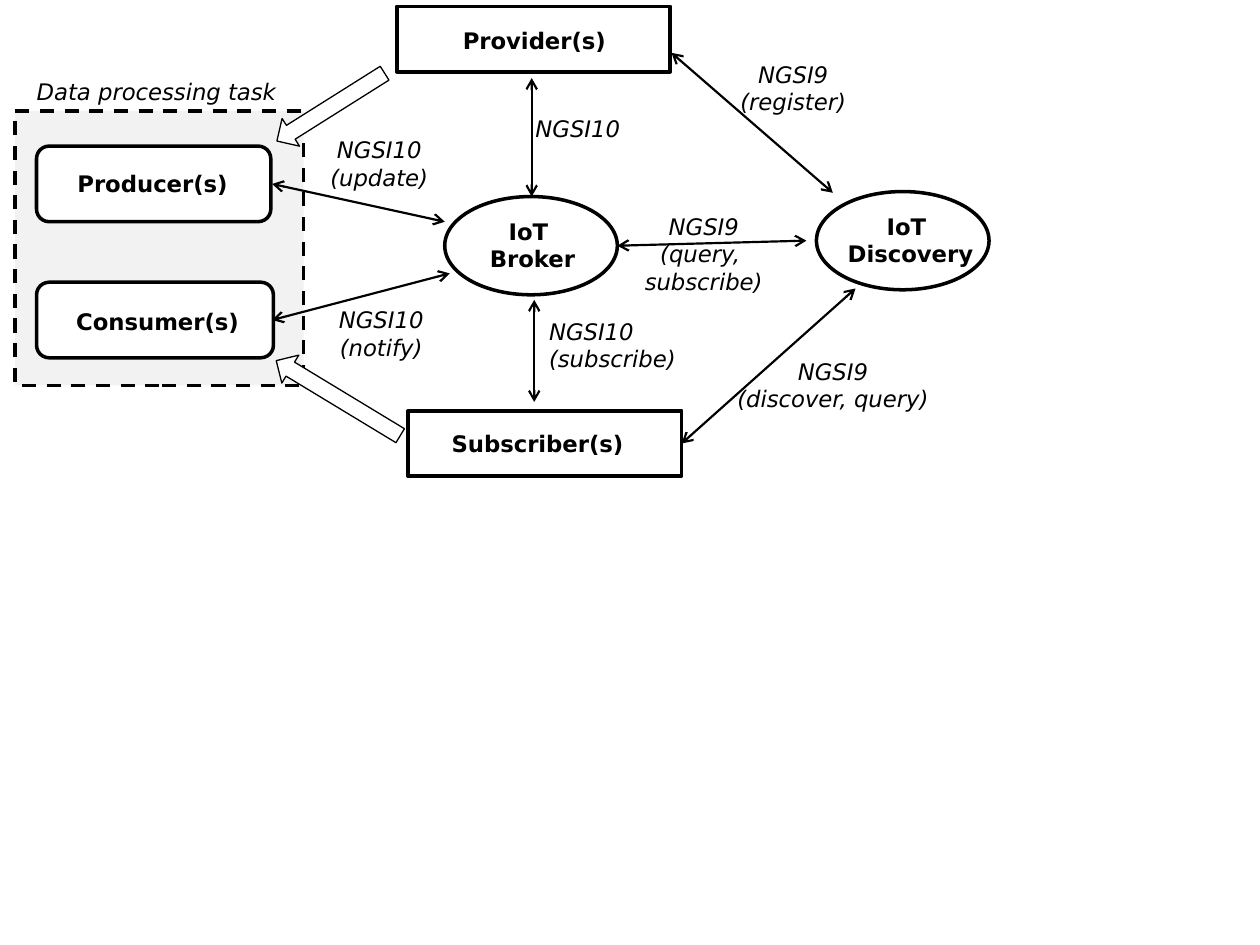
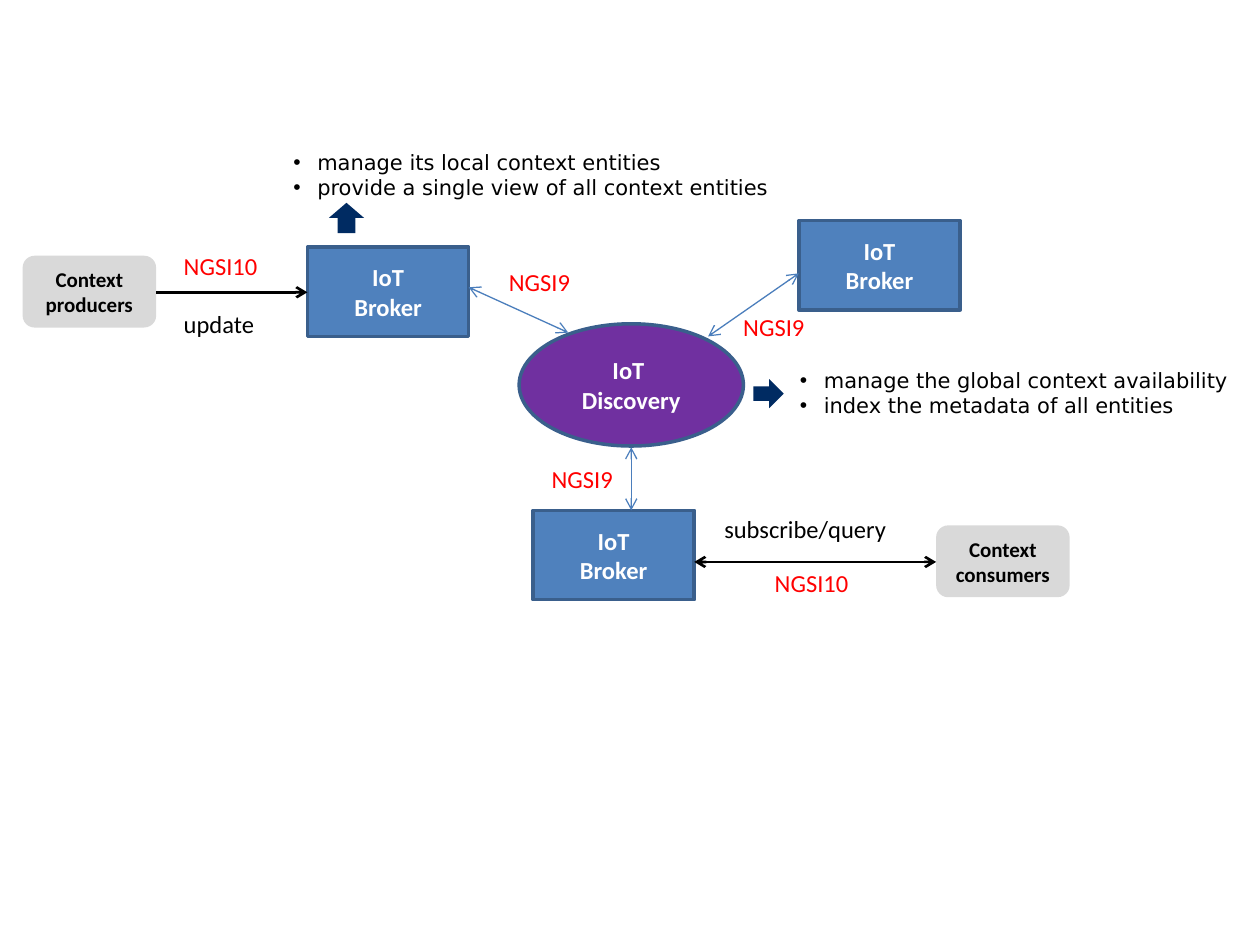
from dataclasses import dataclass
from typing import Optional

from lxml.etree import SubElement
from pptx import Presentation
from pptx.dml.color import RGBColor
from pptx.enum.dml import MSO_LINE
from pptx.enum.shapes import MSO_CONNECTOR, MSO_SHAPE
from pptx.enum.text import MSO_ANCHOR, MSO_AUTO_SIZE, PP_ALIGN
from pptx.oxml.ns import qn
from pptx.util import Inches, Pt

BLACK = RGBColor(0x00, 0x00, 0x00)
WHITE = RGBColor(0xFF, 0xFF, 0xFF)
PALE = RGBColor(0xF2, 0xF2, 0xF2)
GREY = RGBColor(0xD9, 0xD9, 0xD9)
RED = RGBColor(0xFF, 0x00, 0x00)
BLUE = RGBColor(0x4F, 0x81, 0xBD)
EDGE = RGBColor(0x3A, 0x5F, 0x8C)
WIRE = RGBColor(0x4B, 0x7E, 0xBC)
NAVY = RGBColor(0x00, 0x2B, 0x62)
PURPLE = RGBColor(0x70, 0x30, 0xA0)
SANS = "DejaVu Sans"
BODY = "Calibri"
LEFT, MID = PP_ALIGN.LEFT, PP_ALIGN.CENTER
RECT, ROUND = MSO_SHAPE.RECTANGLE, MSO_SHAPE.ROUNDED_RECTANGLE
OVAL, ARROW = MSO_SHAPE.OVAL, MSO_SHAPE.RIGHT_ARROW


@dataclass
class Node:
    kind: MSO_SHAPE
    x: float
    y: float
    w: float
    h: float
    fill: RGBColor = WHITE
    edge: Optional[RGBColor] = BLACK
    width: float = 2
    dash: bool = False
    turn: float = 0
    text: str = ""
    size: int = 14
    color: RGBColor = WHITE


@dataclass
class Label:
    text: str
    x: float
    y: float
    w: float
    align: PP_ALIGN = MID
    bold: bool = False
    color: RGBColor = BLACK
    wrap: bool = False


@dataclass
class Link:
    x1: float
    y1: float
    x2: float
    y2: float
    color: RGBColor = BLACK
    width: float = 1.25
    both: bool = True


def write(frame, text: str, *, font: str, size: int, color: RGBColor,
          bold: bool = False, italic: bool = False,
          align: PP_ALIGN = MID, bullet: bool = False) -> None:
    """Put each line of text in its own formatted paragraph."""
    for i, line in enumerate(text.split("\n")):
        para = frame.add_paragraph() if i else frame.paragraphs[0]
        para.alignment = align
        run = para.add_run()
        run.text = line
        run.font.name, run.font.size = font, Pt(size)
        run.font.bold, run.font.italic = bold, italic
        run.font.color.rgb = color
        if bullet:
            props = para._p.get_or_add_pPr()
            props.set("marL", str(Inches(0.19)))
            props.set("indent", str(-Inches(0.19)))
            SubElement(props, qn("a:buFont"), typeface="Arial")
            SubElement(props, qn("a:buChar"), char="•")


def draw_node(slide, node: Node) -> None:
    shape = slide.shapes.add_shape(
        node.kind, Inches(node.x), Inches(node.y), Inches(node.w), Inches(node.h))
    shape.shadow.inherit = False
    shape.rotation = node.turn
    shape.fill.solid()
    shape.fill.fore_color.rgb = node.fill
    if node.edge is None:
        shape.line.fill.background()
    else:
        shape.line.color.rgb = node.edge
        shape.line.width = Pt(node.width)
        if node.dash:
            shape.line.dash_style = MSO_LINE.DASH
    if node.text:
        shape.text_frame.word_wrap = True
        shape.text_frame.vertical_anchor = MSO_ANCHOR.MIDDLE
        write(shape.text_frame, node.text, font=BODY, size=node.size,
              color=node.color, bold=True)


def draw_label(slide, label: Label, font: str, size: int,
               italic: bool = False, bullet: bool = False) -> None:
    """Add a text box whose height follows from its number of lines."""
    lines = label.text.count("\n") + 1
    box = slide.shapes.add_textbox(
        Inches(label.x), Inches(label.y), Inches(label.w),
        Inches(0.1 + lines * size / 60))
    frame = box.text_frame
    frame.word_wrap = label.wrap
    frame.auto_size = MSO_AUTO_SIZE.SHAPE_TO_FIT_TEXT
    write(frame, label.text, font=font, size=size, color=label.color,
          bold=label.bold, italic=italic and not label.bold,
          align=label.align, bullet=bullet)


def draw_link(slide, link: Link) -> None:
    line = slide.shapes.add_connector(
        MSO_CONNECTOR.STRAIGHT, Inches(link.x1), Inches(link.y1),
        Inches(link.x2), Inches(link.y2))
    line.line.color.rgb = link.color
    line.line.width = Pt(link.width)
    props = line.line._get_or_add_ln()
    for end in ("a:headEnd", "a:tailEnd") if link.both else ("a:tailEnd",):
        SubElement(props, qn(end), type="arrow")
    SubElement(line._element.spPr, qn("a:effectLst"))


def broker(x: float, y: float) -> Node:
    return Node(RECT, x, y, 1.28, 0.71, BLUE, EDGE, text="IoT\nBroker")


def client(x: float, y: float, text: str) -> Node:
    return Node(ROUND, x, y, 1.06, 0.57, GREY, None, text=text, size=12, color=BLACK)


ROLE_NODES = [
    Node(OVAL, 6.48, 1.52, 1.37, 0.78),
    Node(RECT, 0.12, 0.88, 2.29, 2.18, PALE, dash=True),
    Node(OVAL, 3.53, 1.56, 1.37, 0.78),
    Node(ROUND, 0.29, 1.16, 1.86, 0.6),
    Node(RECT, 3.15, 0.05, 2.17, 0.52),
    Node(ROUND, 0.29, 2.24, 1.88, 0.6),
    Node(RECT, 3.24, 3.26, 2.17, 0.52),
    Node(ARROW, 2.12, 0.72, 1.01, 0.26, width=0.75, turn=147.8),
    Node(ARROW, 2.11, 3.03, 1.15, 0.26, width=0.75, turn=211.2),
]
ROLE_LINKS = [
    Link(4.22, 0.62, 4.22, 1.56),
    Link(4.24, 2.38, 4.24, 3.19),
    Link(5.33, 0.42, 6.61, 1.53),
    Link(6.79, 2.29, 5.41, 3.52),
    Link(6.4, 1.91, 4.9, 1.95),
    Link(2.16, 1.46, 3.53, 1.76),
    Link(3.57, 2.17, 2.16, 2.54),
]
ROLE_LABELS = [
    Label("IoT \nBroker", 3.78, 1.68, 0.89, bold=True),
    Label("IoT \nDiscovery", 6.62, 1.64, 1.21, bold=True),
    Label("Producer(s)", 0.49, 1.3, 1.44, bold=True),
    Label("Provider(s)", 3.55, 0.16, 1.38, bold=True),
    Label("Consumer(s)", 0.48, 2.39, 1.54, bold=True),
    Label("Subscriber(s)", 3.46, 3.36, 1.61, bold=True),
    Label("Data processing task", 0.18, 0.57, 2.12),
    Label("NGSI9\n(register)", 5.76, 0.43, 1.07),
    Label("NGSI9\n(discover, query)", 5.72, 2.79, 1.78),
    Label("NGSI10", 4.13, 0.86, 0.91),
    Label("NGSI10\n(subscribe)", 4.26, 2.47, 1.23, LEFT),
    Label("NGSI9\n(query, \nsubscribe)", 5.01, 1.64, 1.15),
    Label("NGSI10\n(update)", 2.51, 1.03, 1),
    Label("NGSI10\n(notify)", 2.57, 2.38, 0.91),
]

FLOW_NODES = [
    Node(OVAL, 4.12, 2.57, 1.78, 0.97, PURPLE, EDGE, text="IoT \nDiscovery"),
    broker(2.44, 1.96),
    broker(4.23, 4.05),
    broker(6.34, 1.75),
    client(0.18, 2.03, "Context\nproducers"),
    client(7.43, 4.17, "Context consumers"),
    Node(MSO_SHAPE.UP_ARROW, 2.61, 1.61, 0.28, 0.24, NAVY, None),
    Node(ARROW, 5.98, 3.01, 0.24, 0.23, NAVY, None),
]
FLOW_LINKS = [
    Link(1.24, 2.32, 2.44, 2.32, width=1.5, both=False),
    Link(3.72, 2.28, 4.51, 2.64, WIRE, 0.75),
    Link(5.01, 3.55, 5.01, 4.05, WIRE, 0.75),
    Link(5.51, 4.46, 7.43, 4.46, width=1.5),
    Link(5.62, 2.67, 6.34, 2.17, WIRE, 0.75),
]
FLOW_LABELS = [
    Label("update", 1.36, 2.4, 0.77, LEFT),
    Label("subscribe/query", 5.65, 4.03, 1.5, LEFT),
    *(Label("NGSI9", x, y, 0.69, LEFT, color=RED)
      for x, y in ((3.94, 2.07), (4.28, 3.63), (5.8, 2.43))),
    *(Label("NGSI10", x, y, 0.79, LEFT, color=RED)
      for x, y in ((6.05, 4.46), (1.36, 1.94))),
]
FLOW_NOTES = [
    Label("manage the global context availability\nindex the metadata of all entities",
          6.25, 2.87, 3.61, LEFT),
    Label("manage its local context entities\n"
          "provide a single view of all context entities",
          2.23, 1.14, 4.1, LEFT, wrap=True),
]


def add_slide(deck, nodes: list[Node], links: list[Link]):
    """Add a blank slide with its nodes and the links over them."""
    slide = deck.slides.add_slide(deck.slide_layouts[6])
    for node in nodes:
        draw_node(slide, node)
    for link in links:
        draw_link(slide, link)
    return slide


def main() -> None:
    deck = Presentation()
    deck.slide_width, deck.slide_height = Inches(10), Inches(7.5)

    roles = add_slide(deck, ROLE_NODES, ROLE_LINKS)
    for label in ROLE_LABELS:
        draw_label(roles, label, SANS, 13, italic=True)

    flow = add_slide(deck, FLOW_NODES, FLOW_LINKS)
    for label in FLOW_LABELS:
        draw_label(flow, label, BODY, 14)
    for note in FLOW_NOTES:
        draw_label(flow, note, SANS, 12, bullet=True)

    deck.save("out.pptx")


if __name__ == "__main__":
    main()
